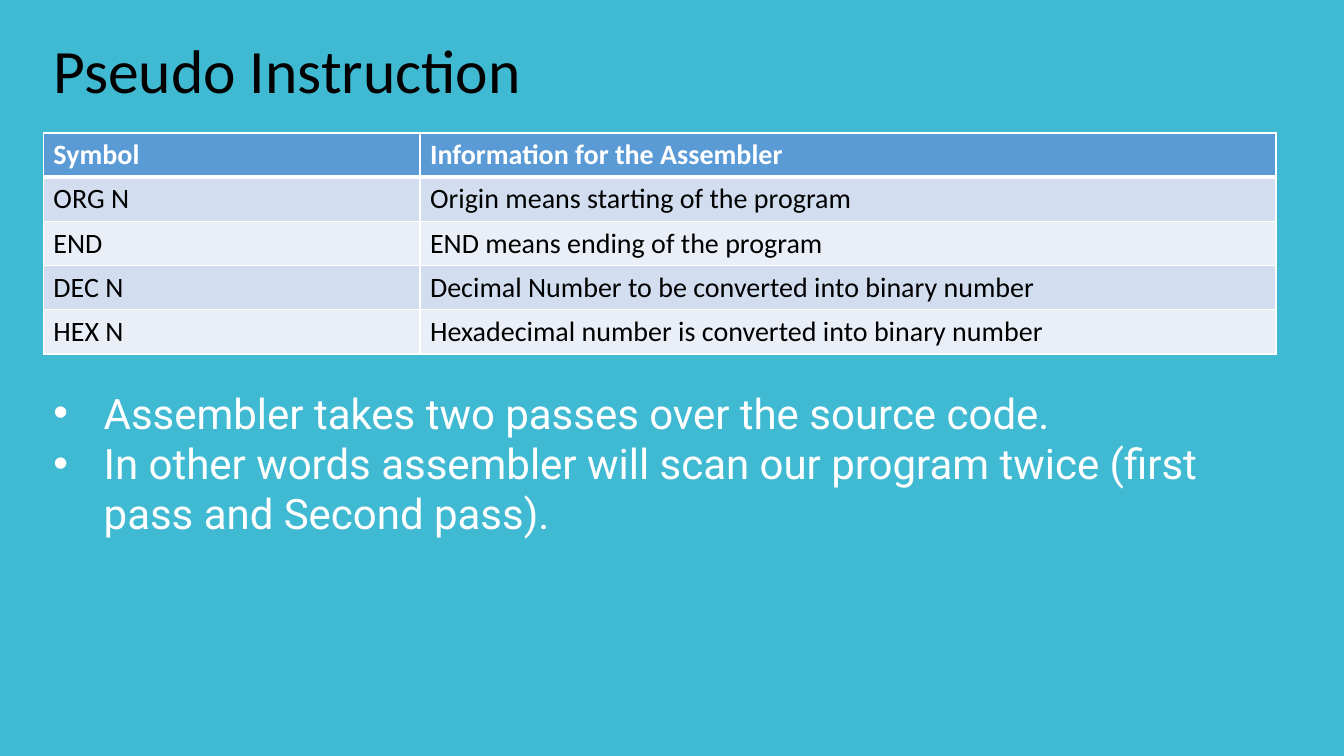
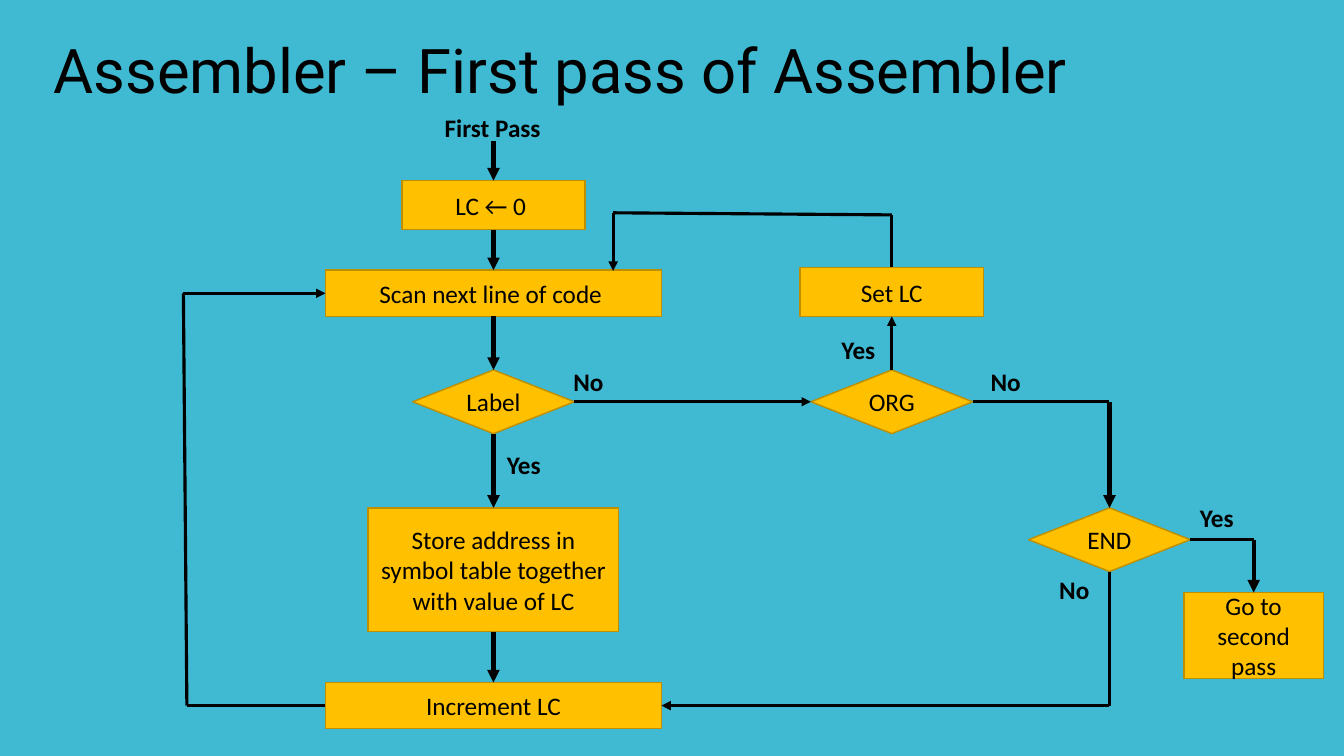
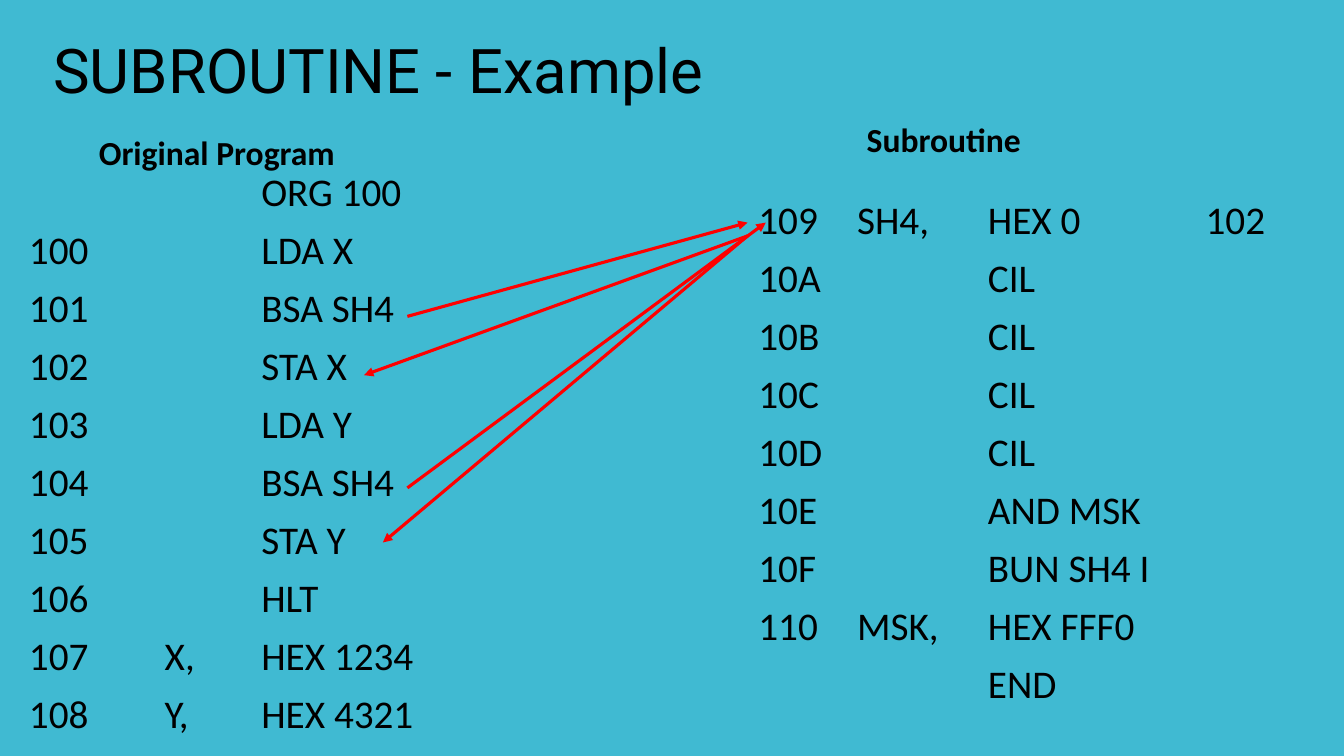
"""Three lecture slides on assemblers: pseudo instructions, first pass and a subroutine."""
from lxml import etree
from pptx import Presentation
from pptx.dml.color import RGBColor
from pptx.enum import shapes, text
from pptx.oxml import ns
from pptx.util import Pt

COLORS = {
    "background": "40BAD2", "ink": "000000", "white": "FFFFFF", "arrow": "FF0000",
    "header": "5B9BD5", "odd": "D2DEEF", "even": "EAEFF7",
    "node": "FFC000", "node_edge": "BD8E00",
}
BODY_FONT, DISPLAY_FONT = "Calibri", "Roboto"
NO_STYLE_NO_GRID = "{2D5ABB26-0587-4C30-8999-92F81FD0307C}"
THIN, THICK = 2.25, 3

PSEUDO_INSTRUCTIONS = [
    ("Symbol", "Information for the Assembler"),
    ("ORG N", "Origin means starting of the program"),
    ("END", "END means ending of the program"),
    ("DEC N", "Decimal Number to be converted into binary number"),
    ("HEX N", "Hexadecimal number is converted into binary number"),
]
PASS_NOTES = [
    "Assembler takes two passes over the source code.",
    "In other words assembler will scan our program twice (first pass and Second pass).",
]

MAIN_X, ORG_X, END_X, EXIT_X = 352.5, 637, 792.5, 895.5
STEP, WIDE, DECISION = (131, 35), (240, 33), (115.5, 45.5)
NODES = {
    "start": ("LC ← 0 ", MAIN_X, 146.5, STEP),
    "scan": ("Scan next line of code ", MAIN_X, 209.5, WIDE),
    "label": ("Label", MAIN_X, 287, DECISION),
    "store": ("Store address in symbol table together with value of LC", MAIN_X, 407, (179, 88.5)),
    "increment": ("Increment LC", MAIN_X, 504, WIDE),
    "set": ("Set LC", ORG_X, 208.5, STEP),
    "org": ("ORG", ORG_X, 287, DECISION),
    "end": ("END", END_X, 385.5, DECISION),
    "exit": ("Go to second pass", EXIT_X, 454, (99.5, 61.5)),
}
SIDES = {"left": (-0.5, 0), "right": (0.5, 0), "top": (0, -0.5), "bottom": (0, 0.5)}
FLOWS = [
    (THICK, [(MAIN_X, 101), ("start", "top")]),
    (THICK, [("start", "bottom"), ("scan", "top")]),
    (THICK, [("scan", "bottom"), ("label", "top")]),
    (THICK, [("label", "bottom"), ("store", "top")]),
    (THICK, [("store", "bottom"), ("increment", "top")]),
    (THIN, [("label", "right"), ("org", "left")]),
    (THIN, [("org", "top"), ("set", "bottom")]),
    (THIN, [("set", "top"), (ORG_X, 153.5), (438, 152), ("scan", (438, 193.5))]),
    (THICK, [("org", "right"), (END_X, 287), ("end", "top")]),
    (THIN, [("end", "bottom"), (END_X, 504), ("increment", "right")]),
    (THIN, [("increment", "left"), (133.5, 504), (131, 209.5), ("scan", "left")]),
    (THICK, [("end", "right"), (EXIT_X, 385.5), ("exit", "top")]),
]
FLOW_LABELS = [
    ("First Pass", 310.5, 77), ("No", 402.5, 258), ("Yes", 355, 317.5), ("Yes", 594, 235.5),
    ("No", 700.5, 258), ("No", 749.5, 407), ("Yes", 850, 355),
]

MAIN_PROGRAM = [
    ("", "", "ORG 100"), ("100", "", "LDA X"), ("101", "", "BSA SH4"), ("102", "", "STA X"),
    ("103", "", "LDA Y"), ("104", "", "BSA SH4"), ("105", "", "STA Y"), ("106", "", "HLT"),
    ("107", "X,", "HEX 1234"), ("108", "Y,", "HEX 4321"),
]
SUBROUTINE = [
    ("109", "SH4,", "HEX 0", "102"), ("10A", "", "CIL", ""), ("10B", "", "CIL", ""),
    ("10C", "", "CIL", ""), ("10D", "", "CIL", ""), ("10E", "", "AND MSK", ""),
    ("10F", "", "BUN SH4 I", ""), ("110", "MSK,", "HEX FFF0", ""), ("", "", "END", ""),
]
LISTINGS = [
    ("Original Program", (63.5, 90.5), MAIN_PROGRAM, (13.5, 117.5), (97, 69, 207.5)),
    ("Subroutine", (612, 81.5), SUBROUTINE, (534.5, 137.5), (70.5, 93.5, 155.5, 93)),
]
CALLS = [
    [(291, 226), (534, 159)], [(534, 168.5), (260, 268)],
    [(291, 348.5), (547, 159)], [(534, 168.5), (273.5, 387.5)],
]


def rgb(name):
    return RGBColor.from_string(COLORS[name])


def style(frame, size, font=BODY_FONT, color="ink", bold=False):
    for paragraph in frame.paragraphs:
        for run in paragraph.runs:
            run.font.size, run.font.name, run.font.bold = Pt(size), font, bold
            run.font.color.rgb = rgb(color)


def add_text(slide, words, left, top, width, height, size, **look):
    frame = slide.shapes.add_textbox(Pt(left), Pt(top), Pt(width), Pt(height)).text_frame
    frame.word_wrap = True
    frame.text = words
    style(frame, size, **look)
    return frame


def add_slide(deck, title, font=DISPLAY_FONT):
    slide = deck.slides.add_slide(deck.slide_layouts[6])
    frame = add_text(slide, title, 31, 0, 828, 104.5, 44, font=font)
    frame.vertical_anchor = text.MSO_ANCHOR.MIDDLE
    frame.paragraphs[0].line_spacing = 0.9
    return slide


def add_path(slide, points, color, weight, arrow_weight):
    legs = list(zip(points, points[1:]))
    for number, (begin, finish) in enumerate(legs, 1):
        ends = [Pt(value) for value in (*begin, *finish)]
        leg = slide.shapes.add_connector(shapes.MSO_CONNECTOR.STRAIGHT, *ends)
        leg.line.color.rgb = rgb(color)
        leg.line.width = Pt(arrow_weight if number == len(legs) else weight)
        properties = leg._element.spPr
        if number == len(legs):
            etree.SubElement(properties.find(ns.qn("a:ln")), ns.qn("a:tailEnd"), type="triangle")
        etree.SubElement(properties, ns.qn("a:effectLst"))


def add_grid(slide, rows, left, top, widths, row_height):
    table = slide.shapes.add_table(
        len(rows), len(widths), Pt(left), Pt(top), Pt(sum(widths)), Pt(row_height * len(rows))
    ).table
    table.first_row = table.horz_banding = False
    table._tbl.tblPr.find(ns.qn("a:tableStyleId")).text = NO_STYLE_NO_GRID
    for column, width in zip(table.columns, widths):
        column.width = Pt(width)
    for r, row in enumerate(rows):
        table.rows[r].height = Pt(row_height)
        for c, words in enumerate(row):
            table.cell(r, c).text = words
            table.cell(r, c).fill.background()
    return table


def set_borders(cell, widths):
    properties = cell._tc.get_or_add_tcPr()
    for position, (side, width) in enumerate(zip("LRTB", widths)):
        edge = etree.Element(ns.qn("a:ln" + side), w=str(Pt(width)))
        fill = etree.SubElement(edge, ns.qn("a:solidFill"))
        etree.SubElement(fill, ns.qn("a:srgbClr"), val=COLORS["white"])
        properties.insert(position, edge)


def build_pseudo_instructions(deck):
    slide = add_slide(deck, "Pseudo Instruction", BODY_FONT)
    table = add_grid(slide, PSEUDO_INSTRUCTIONS, 31, 95, (269, 611.5), 31.6)
    for r in range(len(PSEUDO_INSTRUCTIONS)):
        header = r == 0
        band = "header" if header else "odd" if r % 2 else "even"
        for cell in table.rows[r].cells:
            cell.fill.solid()
            cell.fill.fore_color.rgb = rgb(band)
            style(cell.text_frame, 20, color="white" if header else "ink", bold=header)
            set_borders(cell, (1, 1, 3 if r == 1 else 1, 3 if header else 1))
    notes = add_text(slide, "\n".join(PASS_NOTES), 31, 273, 880.5, 116.5, 30,
                     font=DISPLAY_FONT, color="white")
    for paragraph in notes.paragraphs:
        properties = paragraph._p.get_or_add_pPr()
        properties.set("marL", str(Pt(36)))
        properties.set("indent", str(Pt(-36)))
        etree.SubElement(properties, ns.qn("a:buFont"), typeface="Arial")
        etree.SubElement(properties, ns.qn("a:buChar"), char="•")


def locate(point):
    first, second = point
    if first not in NODES:
        return point
    if second not in SIDES:
        return second
    _, x, y, (width, height) = NODES[first]
    across, down = SIDES[second]
    return x + across * width, y + down * height


def build_first_pass(deck):
    slide = add_slide(deck, "Assembler – First pass of Assembler")
    for words, x, y, size in NODES.values():
        width, height = size
        kind = (shapes.MSO_SHAPE.FLOWCHART_DECISION if size == DECISION
                else shapes.MSO_SHAPE.RECTANGLE)
        node = slide.shapes.add_shape(
            kind, Pt(x - width / 2), Pt(y - height / 2), Pt(width), Pt(height))
        node.shadow.inherit = False
        node.fill.solid()
        node.fill.fore_color.rgb = rgb("node")
        node.line.color.rgb = rgb("node_edge")
        node.line.width = Pt(1)
        frame = node.text_frame
        frame.text = words
        frame.word_wrap = True
        frame.vertical_anchor = text.MSO_ANCHOR.MIDDLE
        frame.paragraphs[0].alignment = text.PP_ALIGN.CENTER
        style(frame, 18)
    for weight, points in FLOWS:
        add_path(slide, [locate(point) for point in points], "ink", THIN, weight)
    for words, left, top in FLOW_LABELS:
        add_text(slide, words, left, top, 85.5, 29, 18, bold=True)


def build_subroutine(deck):
    slide = add_slide(deck, "SUBROUTINE - Example")
    for heading, heading_at, rows, rows_at, widths in LISTINGS:
        table = add_grid(slide, rows, *rows_at, widths, 41.4)
        for cell in table.iter_cells():
            style(cell.text_frame, 28)
        add_text(slide, heading, *heading_at, 197.5, 36, 24, bold=True)
    for points in CALLS:
        add_path(slide, points, "arrow", THIN, THIN)


def main():
    deck = Presentation()
    deck.slide_width, deck.slide_height = Pt(960), Pt(540)
    backdrop = deck.slide_master.background.fill
    backdrop.solid()
    backdrop.fore_color.rgb = rgb("background")
    build_pseudo_instructions(deck)
    build_first_pass(deck)
    build_subroutine(deck)
    deck.save("out.pptx")


if __name__ == "__main__":
    main()
